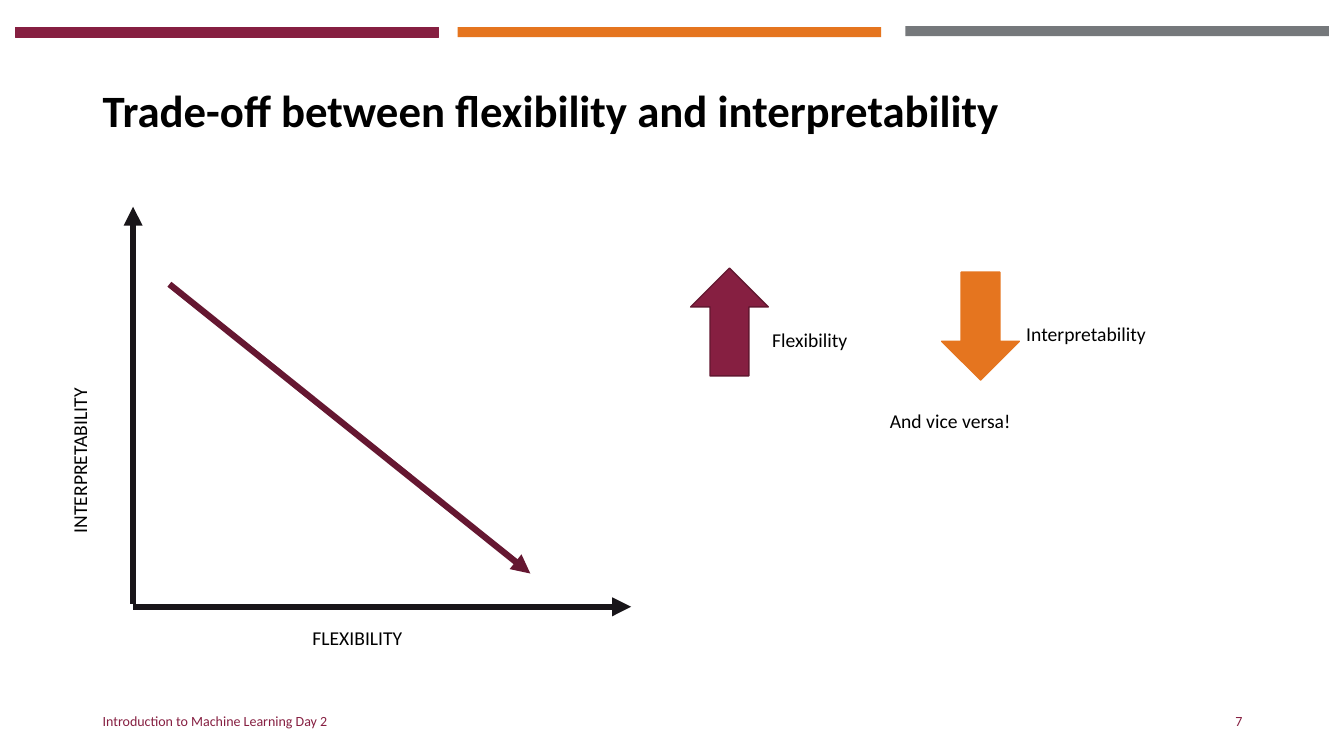
from lxml import etree
from pptx import Presentation
from pptx.dml.color import RGBColor
from pptx.enum.shapes import MSO_CONNECTOR, MSO_SHAPE
from pptx.enum.text import MSO_ANCHOR as ANCHOR, PP_ALIGN as ALIGN
from pptx.oxml.ns import qn
from pptx.util import Pt

PX = 9144
FONT = "Calibri"
COLORS = {
    "maroon": "861F41",
    "orange": "E5751F",
    "gray": "75787B",
    "axis": "181519",
    "trend": "651731",
    "outline": "631730",
    "text": "000000",
}


def px(*lengths):
    return [round(n * PX) for n in lengths]


def rgb(name):
    return RGBColor.from_string(COLORS[name])


def add_text(slide, box, text, size=14, color="text", bold=False,
             align=ALIGN.LEFT, anchor=ANCHOR.TOP, vert=None):
    sp = slide.shapes.add_textbox(*px(*box))
    tf = sp.text_frame
    tf.word_wrap = True
    tf.vertical_anchor = anchor
    if vert:
        tf._txBody.bodyPr.set("vert", vert)
    p = tf.paragraphs[0]
    p.text = text
    p.alignment = align
    font = p.runs[0].font
    font.name, font.size, font.bold = FONT, Pt(size), bold
    font.color.rgb = rgb(color)
    return p


def add_block(slide, kind, box, fill, outline=None, width=1):
    sp = slide.shapes.add_shape(kind, *px(*box))
    sp.shadow.inherit = False
    sp.fill.solid()
    sp.fill.fore_color.rgb = rgb(fill)
    if outline:
        sp.line.color.rgb = rgb(outline)
        sp.line.width = Pt(width)
    else:
        sp.line.fill.background()
    return sp


def add_arrow(slide, start, end, color):
    line = slide.shapes.add_connector(MSO_CONNECTOR.STRAIGHT, *px(*start, *end))
    line.line.color.rgb = rgb(color)
    line.line.width = Pt(4.5)
    etree.SubElement(line.line._get_or_add_ln(), qn("a:tailEnd"), type="triangle")
    etree.SubElement(line._element.spPr, qn("a:effectLst"))


def add_bars(slide, x, y):
    bars = [(0, 1, "maroon", "maroon"), (439, 1, "orange", None), (883, 0, "gray", None)]
    for dx, dy, fill, outline in bars:
        add_block(slide, MSO_SHAPE.RECTANGLE, (x + dx, y + dy, 420, 10), fill, outline, 0.75)


def add_title(slide, box):
    p = add_text(slide, box, "Trade-off between flexibility and interpretability",
                 32, bold=True, anchor=ANCHOR.MIDDLE)
    p.line_spacing = 0.9


def add_footer(slide, x, y, w, h):
    style = dict(size=10, color="maroon", anchor=ANCHOR.MIDDLE)
    add_text(slide, (x, y, 450, h), "Introduction to Machine Learning Day 2", **style)
    add_text(slide, (x + w - 300, y, 300, h), "7", align=ALIGN.RIGHT, **style)


def add_tradeoff_plot(slide, x, y, w, h):
    bottom = y + h
    add_arrow(slide, (x, bottom - 3), (x, y), "axis")
    add_arrow(slide, (x, bottom), (x + w, bottom), "axis")
    add_text(slide, (x - 70, y + 61, 50, 273), "INTERPRETABILITY", vert="vert270")
    add_text(slide, (x + 168, bottom + 14, 265, 50), "FLEXIBILITY")
    add_arrow(slide, (x + 36, y + 77), (x + w - 100, bottom - 33), "trend")


def add_summary(slide, x, y):
    add_block(slide, MSO_SHAPE.UP_ARROW, (x, y, 77, 107), "maroon", "outline")
    add_text(slide, (x + 71, y + 54, 246, 40), "Flexibility")
    down = add_block(slide, MSO_SHAPE.UP_ARROW, (x + 249, y + 4, 77, 107), "orange", "orange")
    down.rotation = 180
    add_text(slide, (x + 323, y + 48, 279, 71), "Interpretability")
    add_text(slide, (x + 92, y + 135, 331, 40), "And vice versa!", align=ALIGN.CENTER)


def main():
    prs = Presentation()
    prs.slide_width, prs.slide_height = px(1333, 750)
    slide = prs.slides.add_slide(prs.slide_layouts[6])
    add_bars(slide, 15, 26)
    add_title(slide, (92, 40, 1150, 145))
    add_footer(slide, 92, 695, 1150, 40)
    add_tradeoff_plot(slide, 132, 205, 494, 397)
    add_summary(slide, 685, 266)
    prs.save("out.pptx")


if __name__ == "__main__":
    main()
